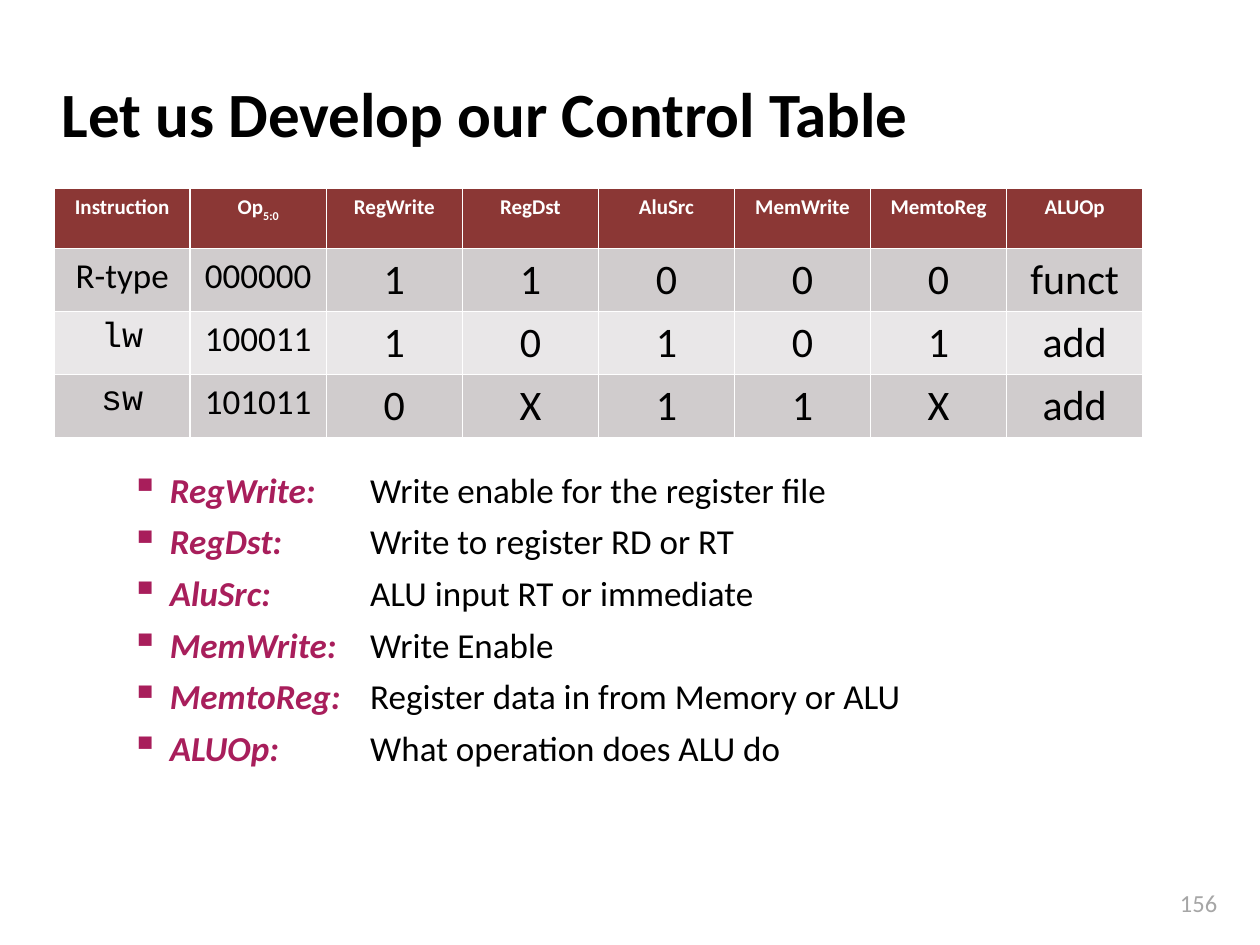
from pptx import Presentation
from pptx.dml.color import RGBColor
from pptx.enum.text import MSO_ANCHOR, PP_ALIGN
from pptx.oxml.xmlchemy import OxmlElement
from pptx.util import Inches, Pt

CENTER, RIGHT, LEFT = PP_ALIGN.CENTER, PP_ALIGN.RIGHT, PP_ALIGN.LEFT
TOP, MIDDLE = MSO_ANCHOR.TOP, MSO_ANCHOR.MIDDLE
WIDTH, HEIGHT = Inches(10), Inches(7.5)
BODY_FONT, CODE_FONT = "Calibri", "Courier New"
COLORS = {
    "text": "000000",
    "header": "8B3735",
    "header_text": "FFFFFF",
    "band_dark": "D0CCCD",
    "band_light": "E9E7E8",
    "accent": "A81E5B",
    "page_number": "A6A6A6",
}
HEADERS = ["Instruction", "Op", "RegWrite", "RegDst", "AluSrc", "MemWrite", "MemtoReg", "ALUOp"]
OP_BITS = "5:0"
CONTROLS = [
    ["R-type", "000000", "1", "1", "0", "0", "0", "funct"],
    ["lw", "100011", "1", "0", "1", "0", "1", "add"],
    ["sw", "101011", "0", "X", "1", "1", "X", "add"],
]
SIGNALS = [
    ("RegWrite:", "Write enable for the register file"),
    ("RegDst:", "Write to register RD or RT"),
    ("AluSrc:", "ALU input RT or immediate"),
    ("MemWrite:", "Write Enable"),
    ("MemtoReg:", "Register data in from Memory or ALU"),
    ("ALUOp:", "What operation does ALU do"),
]


def color(name):
    """Return the named palette colour."""
    return RGBColor.from_string(COLORS[name])


def set_font(font, size, tint="text", bold=False, name=BODY_FONT):
    """Set face, size, colour and weight of a font."""
    font.name, font.size, font.bold = name, Pt(size), bold
    font.color.rgb = color(tint)


def add_box(page, left, top, width, height, anchor=TOP):
    """Add a wrapping text box placed by shares of the slide and return its frame."""
    box = page.shapes.add_textbox(
        int(WIDTH * left), int(HEIGHT * top), int(WIDTH * width), int(HEIGHT * height))
    frame = box.text_frame
    frame.word_wrap, frame.vertical_anchor = True, anchor
    return frame


def add_line(page, text, place, size, tint, bold=False, align=LEFT, anchor=TOP):
    """Add a box holding one line of text."""
    para = add_box(page, *place, anchor=anchor).paragraphs[0]
    para.text, para.alignment = text, align
    set_font(para.font, size, tint, bold)


def fill_cell(cell, text, fill, size, tint="text", bold=False, name=BODY_FONT):
    """Write centred text on a plain cell fill."""
    cell.fill.solid()
    cell.fill.fore_color.rgb = color(fill)
    para = cell.text_frame.paragraphs[0]
    para.text, para.alignment = text, CENTER
    set_font(para.font, size, tint, bold, name)


def add_control_table(page, left, top, width, row_height):
    """Add the table of control signals for each instruction."""
    rows = len(CONTROLS) + 1
    table = page.shapes.add_table(
        rows, len(HEADERS), int(WIDTH * left), int(HEIGHT * top),
        int(WIDTH * width), int(HEIGHT * row_height * rows)).table
    for column, header in enumerate(HEADERS):
        fill_cell(table.cell(0, column), header, "header", 12, "header_text", True)
    bits = table.cell(0, HEADERS.index("Op")).text_frame.paragraphs[0].add_run()
    bits.text = OP_BITS
    bits.font._element.set("baseline", "-30000")
    for row, values in enumerate(CONTROLS, 1):
        band = "band_dark" if row % 2 else "band_light"
        for column, value in enumerate(values):
            size = 20 if column < 2 else 24
            name = CODE_FONT if value in ("lw", "sw") else BODY_FONT
            fill_cell(table.cell(row, column), value, band, size, name=name)


def add_child(parent, tag, **attributes):
    """Append an XML element with the given attributes."""
    child = OxmlElement(tag)
    for key, value in attributes.items():
        child.set(key, str(value))
    parent.append(child)
    return child


def set_bullet(para, margin, hanging, stops):
    """Give a paragraph a square bullet, a hanging indent and tab stops."""
    props = para._p.get_or_add_pPr()
    props.set("marL", str(Inches(margin)))
    props.set("indent", str(-Inches(hanging)))
    add_child(add_child(props, "a:buClr"), "a:srgbClr", val=COLORS["accent"])
    add_child(props, "a:buSzPct", val=110000)
    add_child(props, "a:buChar", char="▪")
    tabs = add_child(props, "a:tabLst")
    for stop in stops:
        add_child(tabs, "a:tab", pos=Inches(stop), algn="l")


def add_signal_list(page, *place):
    """Add the bulleted list that explains each control signal."""
    frame = add_box(page, *place)
    for index, (label, meaning) in enumerate(SIGNALS):
        para = frame.add_paragraph() if index else frame.paragraphs[0]
        set_bullet(para, 0.81, 0.31, (1.59, 2.4))
        para.space_before = Pt(5.5 if index else 0)
        set_font(para.font, 20)
        span = para.add_run()
        span.text = label
        set_font(span.font, 20, "accent", True)
        span.font.italic = True
        para.add_run().text = "\t" + meaning


def main():
    """Build and save the control table slide."""
    deck = Presentation()
    deck.slide_width, deck.slide_height = WIDTH, HEIGHT
    page = deck.slides.add_slide(deck.slide_layouts[6])
    add_line(page, "156", (0.9, 0.933, 0.076, 0.045), 14, "page_number", align=RIGHT)
    add_line(page, "Let us Develop our Control Table", (0.039, 0.064, 0.83, 0.11),
             36, "text", True, anchor=MIDDLE)
    add_control_table(page, 0.043, 0.199, 0.864, 0.064)
    add_signal_list(page, 0.044, 0.489, 0.864, 0.436)
    deck.save("out.pptx")


if __name__ == "__main__":
    main()
